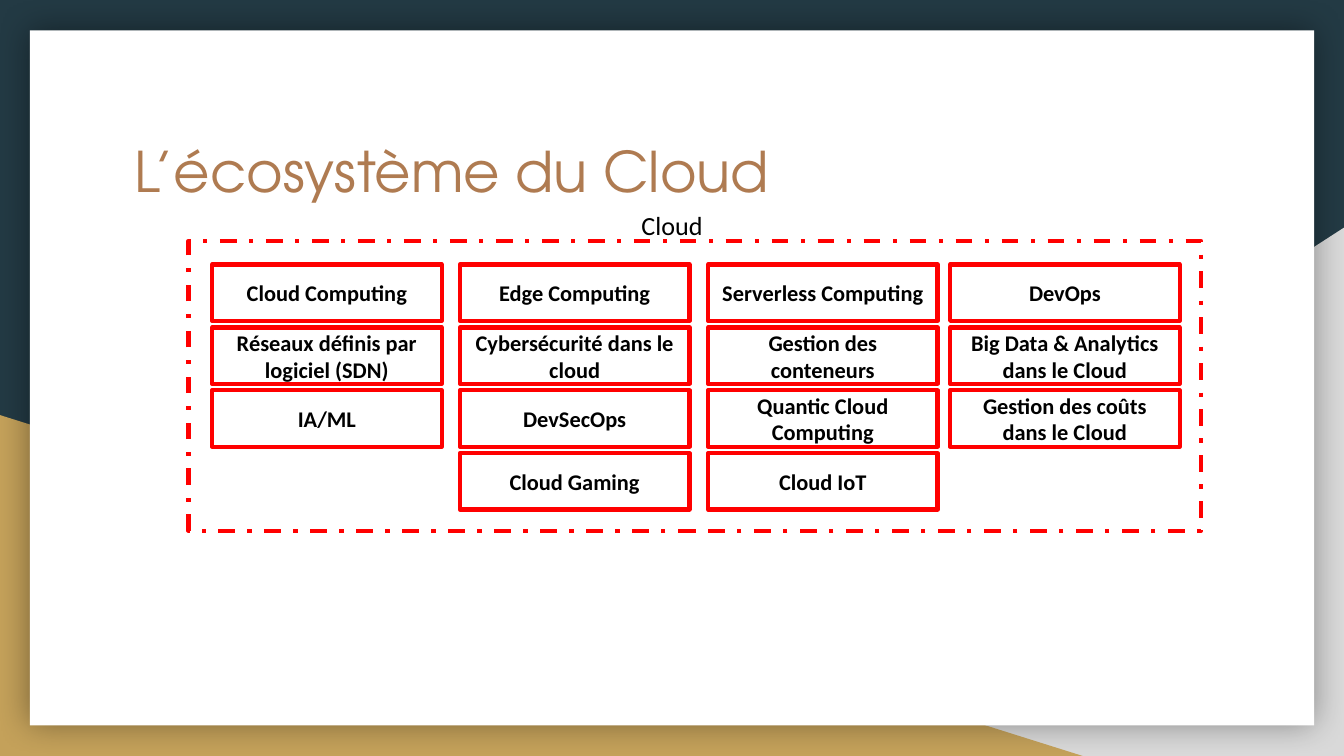
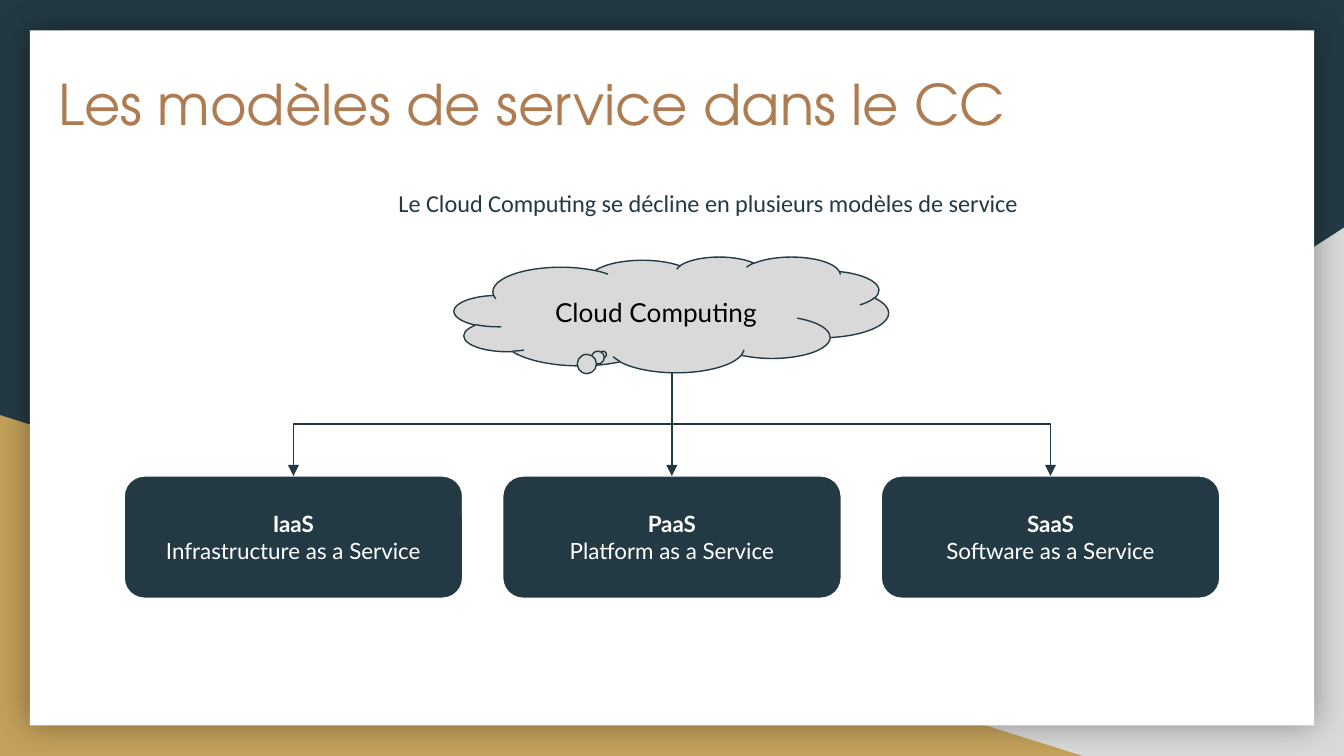
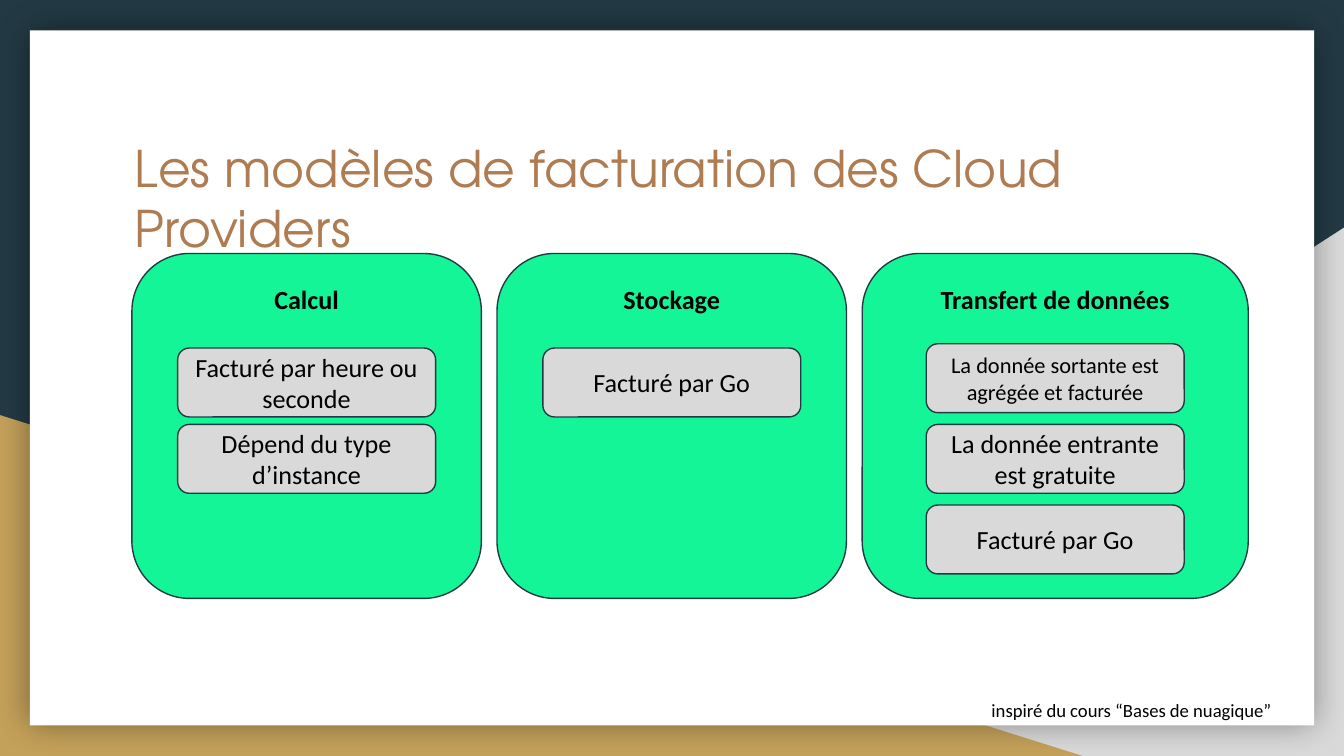
from lxml import etree
from pptx import Presentation
from pptx.dml.color import RGBColor
from pptx.enum.dml import MSO_LINE
from pptx.enum.shapes import MSO_CONNECTOR, MSO_SHAPE
from pptx.enum.text import MSO_ANCHOR, MSO_AUTO_SIZE, PP_ALIGN
from pptx.oxml import parse_xml
from pptx.oxml.ns import nsdecls, qn
from pptx.util import Pt

NAVY = RGBColor(0x23, 0x3A, 0x44)
GOLD = RGBColor(0xC4, 0xA1, 0x5A)
COPPER = RGBColor(0xAF, 0x7B, 0x51)
GREY = RGBColor(0xD9, 0xD9, 0xD9)
GREEN = RGBColor(0x14, 0xF5, 0x97)
RED = RGBColor(0xFF, 0x00, 0x00)
WHITE = RGBColor(0xFF, 0xFF, 0xFF)
BLACK = RGBColor(0x00, 0x00, 0x00)

RECTANGLE = MSO_SHAPE.RECTANGLE
ROUNDED = MSO_SHAPE.ROUNDED_RECTANGLE
TRIANGLE = MSO_SHAPE.RIGHT_TRIANGLE
CLOUD = MSO_SHAPE.CLOUD_CALLOUT
ELBOW = MSO_CONNECTOR.ELBOW
DASH_DOT = MSO_LINE.DASH_DOT
TOP, MIDDLE = MSO_ANCHOR.TOP, MSO_ANCHOR.MIDDLE
LEFT, CENTER = PP_ALIGN.LEFT, PP_ALIGN.CENTER

FRAME_FORMAT = {
    "margin_left": Pt(7.2), "margin_right": Pt(7.2),
    "margin_top": Pt(7.2), "margin_bottom": Pt(7.2),
    "word_wrap": True, "auto_size": MSO_AUTO_SIZE.NONE,
}


def add_box(slide, kind, left, top, width, height, fill=None, line=None, weight=0.75):
    shape = slide.shapes.add_shape(kind, Pt(left), Pt(top), Pt(width), Pt(height))
    shape.shadow.inherit = False
    for part, color in ((shape.fill, fill), (shape.line.fill, line)):
        if color is None:
            part.background()
        else:
            part.solid()
            part.fore_color.rgb = color
    if line is not None:
        shape.line.width = Pt(weight)
    return shape


def write_text(shape, lines, size, color=BLACK, name="Calibri", bold=False,
               align=CENTER, anchor=MIDDLE):
    frame = shape.text_frame
    for key, value in FRAME_FORMAT.items():
        setattr(frame, key, value)
    frame.vertical_anchor = anchor
    frame.text = "\n".join(lines)
    for paragraph in frame.paragraphs:
        paragraph.alignment = align
        font = paragraph.runs[0].font
        for key, value in {"size": Pt(size), "name": name, "bold": bold}.items():
            setattr(font, key, value)
        font.color.rgb = color
    return frame


presentation = Presentation()
presentation.slide_width, presentation.slide_height = Pt(720), Pt(405)
master = presentation.slide_master
master.background.fill.solid()
master.background.fill.fore_color.rgb = NAVY

# Slides and titles: layout, left, top, size, text
slides = []
for layout, left, top, size, title in (
    (5, 65, 66.2, 30, "L’écosystème du Cloud"),
    (1, 24, 29.8, 30, "Les modèles de service dans le CC"),
    (5, 65, 66.2, 27, "Les modèles de facturation des Cloud Providers"),
):
    slide = presentation.slides.add_slide(presentation.slide_layouts[layout])
    shape = slide.shapes.title
    shape.left, shape.top, shape.width, shape.height = Pt(left), Pt(top), Pt(591), Pt(75)
    write_text(shape, [title], size, COPPER, "TeX Gyre Adventor", align=LEFT, anchor=TOP)
    slides.append(slide)
ecosystem, services, billing = slides

# Shared backdrop, moved to the master behind its placeholders
grey_corner = add_box(ecosystem, TRIANGLE, 282, 122, 438, 283, GREY)
grey_corner.element.spPr.find(qn("a:xfrm")).set("flipH", "1")
gold_corner = add_box(ecosystem, TRIANGLE, 0, 222.4, 580, 182.6, GOLD)
page = add_box(ecosystem, RECTANGLE, 16, 16.2, 688, 372.4, WHITE)
page.element.spPr.find(qn("a:effectLst")).append(parse_xml(
    f'<a:outerShdw {nsdecls("a")} blurRad="{Pt(18)}" dist="0" dir="0" algn="ctr" '
    'rotWithShape="0"><a:srgbClr val="000000"><a:alpha val="40000"/></a:srgbClr>'
    '</a:outerShdw>'))
master_tree = master.element.cSld.spTree
for position, shape in enumerate((grey_corner, gold_corner, page), start=2):
    master_tree.insert(position, shape.element)

# Slide 1: topics of the cloud, column by column
frame_box = add_box(ecosystem, RECTANGLE, 101, 129, 542.4, 155.4, line=RED, weight=2.25)
frame_box.line.dash_style = DASH_DOT
label = ecosystem.shapes.add_textbox(Pt(321), Pt(105), Pt(78), Pt(24))
write_text(label, ["Cloud"], 14, anchor=TOP)
topic_columns = (
    (113.6, ["Cloud Computing", "Réseaux définis par logiciel (SDN)", "IA/ML"]),
    (246.4, ["Edge Computing", "Cybersécurité dans le cloud", "DevSecOps", "Cloud Gaming"]),
    (379.3, ["Serverless Computing", "Gestion des conteneurs", "Quantic Cloud Computing",
             "Cloud IoT"]),
    (509, ["DevOps", "Big Data & Analytics dans le Cloud",
           "Gestion des coûts dans le Cloud"]),
)
for left, topics in topic_columns:
    for row, topic in enumerate(topics):
        box = add_box(ecosystem, RECTANGLE, left, 141.7 + 33.7 * row, 123, 30.2,
                      line=RED, weight=2.25)
        write_text(box, [topic], 12, bold=True)

# Slide 2: introduction and cloud
body = services.placeholders[1]
body.left, body.top, body.width, body.height = Pt(102), Pt(91.4), Pt(554.4), Pt(37.4)
paragraph = write_text(body, ["Le Cloud Computing se décline en plusieurs modèles de service"],
                       13, NAVY, anchor=TOP).paragraphs[0]
body_format = {"line_spacing": 1.15, "space_before": Pt(0), "space_after": Pt(12)}
for key, value in body_format.items():
    setattr(paragraph, key, value)
properties = paragraph._p.get_or_add_pPr()
properties.set("marL", "0")
properties.set("indent", "0")
etree.SubElement(properties, qn("a:buNone"))
cloud = add_box(services, CLOUD, 243.4, 137.5, 232.6, 62, GREY, NAVY)
cloud.adjustments[0], cloud.adjustments[1] = -0.157, 0.345
write_text(cloud, ["Cloud Computing"], 14, name="Lato")

# Service models, each with an arrow down from the cloud
middle, cloud_bottom, model_top = 360, 199.5, 255
drop = model_top - cloud_bottom
for column, (short_name, full_name) in enumerate((
    ("IaaS", "Infrastructure as a Service"),
    ("PaaS", "Platform as a Service"),
    ("SaaS", "Software as a Service"),
)):
    offset = 202.8 * (column - 1)
    box = add_box(services, ROUNDED, middle + offset - 90.7, model_top, 181.4, 65.5, NAVY, WHITE)
    frame = write_text(box, [short_name, full_name], 12, WHITE, "Lato", bold=True)
    frame.paragraphs[1].runs[0].font.bold = False

    # The elbow is laid out sideways, then turned to leave downwards
    center_x, center_y = middle + offset / 2, cloud_bottom + drop / 2
    arrow = services.shapes.add_connector(
        ELBOW, Pt(center_x - drop / 2), Pt(center_y - abs(offset) / 2),
        Pt(center_x + drop / 2), Pt(center_y + abs(offset) / 2))
    arrow.line.color.rgb = NAVY
    arrow.line.width = Pt(0.75)
    arrow_properties = arrow.element.spPr
    transform = arrow_properties.find(qn("a:xfrm"))
    transform.set("rot", "5400000" if offset < 0 else "16200000")
    if offset >= 0:
        transform.set("flipH", "1")
    etree.SubElement(arrow_properties.find(qn("a:ln")), qn("a:tailEnd"), type="triangle")
    etree.SubElement(arrow_properties, qn("a:effectLst"))

# Slide 3: billing cards with rules as (top, size, text)
billing_cards = (
    ("Calcul", 187.2, [(186.5, 14, "Facturé par heure ou seconde"),
                       (227.4, 14, "Dépend du type d’instance")]),
    ("Stockage", 187.2, [(186.5, 14, "Facturé par Go")]),
    ("Transfert de données", 206.8, [(184.2, 12, "La donnée sortante est agrégée et facturée"),
                                     (227.4, 14, "La donnée entrante est gratuite"),
                                     (270.6, 14, "Facturé par Go")]),
)
for column, (heading, width, rules) in enumerate(billing_cards):
    left = 70.7 + 195.6 * column
    card = add_box(billing, ROUNDED, left, 135.8, width, 184.8, GREEN, NAVY)
    write_text(card, [heading], 14, bold=True, anchor=TOP)
    for top, size, rule in rules:
        box = add_box(billing, ROUNDED, left + (width - 138.2) / 2, top, 138.2, 36.9, GREY, NAVY)
        write_text(box, [rule], size)

credit = billing.shapes.add_textbox(Pt(519), Pt(367.2), Pt(174.2), Pt(20.2))
write_text(credit, ["inspiré du cours “Bases de nuagique”"], 10, anchor=TOP)

presentation.save("out.pptx")
